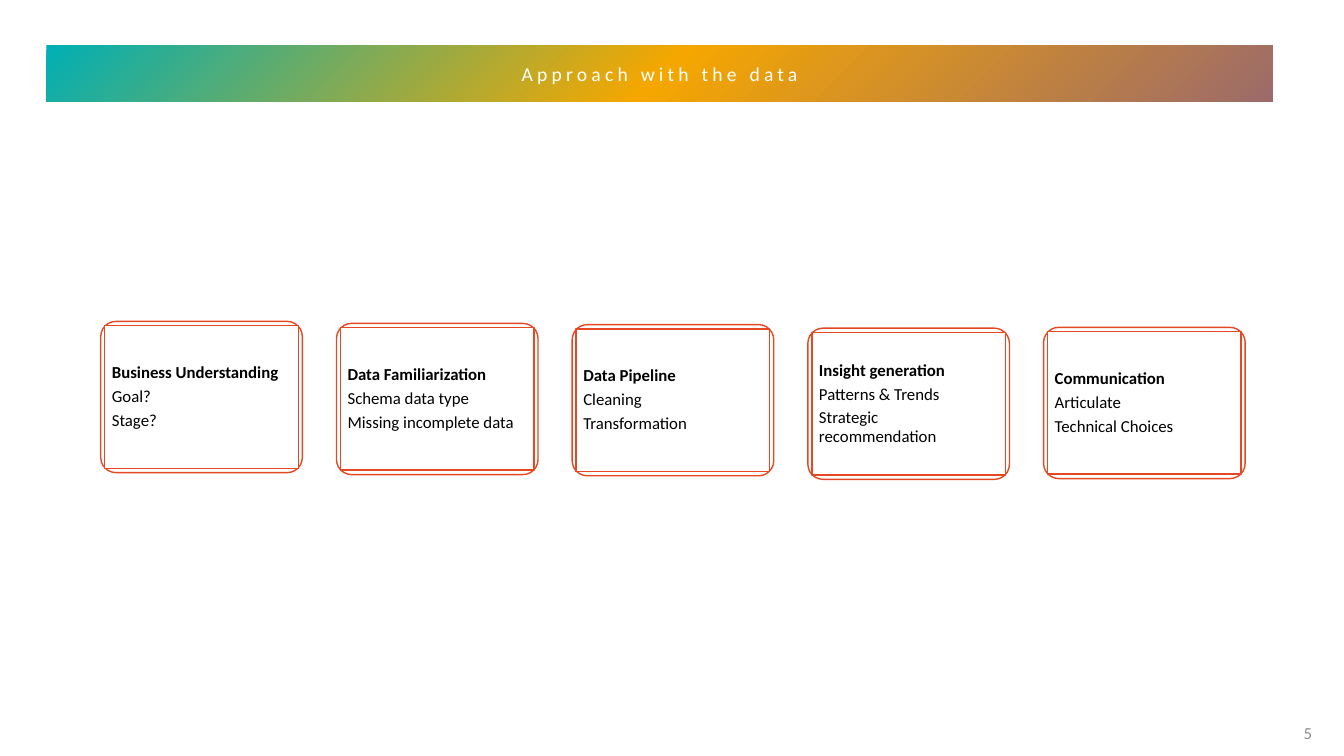
from lxml import etree
from pptx import Presentation, util as u
from pptx.dml.color import RGBColor
from pptx.enum import shapes, text
from pptx.oxml import ns

# Content
TITLE = "Approach with the data"
PAGE_NUMBER = "5"
STEPS = [  # card top in cm, heading, details
    (8.1, "Business Understanding", ["Goal?", "Stage?"]),
    (8.15, "Data Familiarization", ["Schema data type", "Missing incomplete data"]),
    (8.18, "Data Pipeline", ["Cleaning", "Transformation"]),
    (8.27, "Insight generation", ["Patterns & Trends", "Strategic recommendation"]),
    (8.25, "Communication", ["Articulate", "Technical Choices"]),
]

# Look
COLOURS = {"white": "FFFFFF", "black": "000000", "grey": "8C8C8C", "red": "E64823",
           "mauve": "9C6A6A", "amber": "F5A700", "teal": "00AFB5"}
BANNER_STOPS = [(0, "mauve"), (50, "amber"), (100, "teal")]

# Card grid in cm
FIRST_LEFT, PITCH = 2.54, 5.94
CARD_WIDTH, CARD_HEIGHT = 5.08, 3.81
INSET_X, INSET_Y = 0.1, 0.11
PADDING = 0.18


def colour(name):
    return RGBColor.from_string(COLOURS[name])


def place(shape, left, top, width, height):
    for side, value in zip(("left", "top", "width", "height"), (left, top, width, height)):
        setattr(shape, side, u.Cm(value))


def write(para, words, shade, size, bold=False):
    span = para.add_run()
    span.text = words
    for key, value in {"name": "Calibri", "size": u.Pt(size), "bold": bold}.items():
        setattr(span.font, key, value)
    span.font.color.rgb = colour(shade)
    return span


def set_frame(frame, **values):
    values = {"word_wrap": True, "auto_size": text.MSO_AUTO_SIZE.NONE,
              "vertical_anchor": text.MSO_ANCHOR.MIDDLE, **values}
    for key, value in values.items():
        setattr(frame, key, value)


def fill_radial(shape, stops):
    gradient = etree.SubElement(shape.element.spPr, ns.qn("a:gradFill"), rotWithShape="1")
    stop_list = etree.SubElement(gradient, ns.qn("a:gsLst"))
    for position, name in stops:
        stop = etree.SubElement(stop_list, ns.qn("a:gs"), pos=str(position * 1000))
        etree.SubElement(stop, ns.qn("a:srgbClr"), val=COLOURS[name])
    circle = etree.SubElement(gradient, ns.qn("a:path"), path="circle")
    etree.SubElement(circle, ns.qn("a:fillToRect"), l="100000", t="100000")


def add_outline(group, kind, *position):
    shape = group.shapes.add_shape(kind, *map(u.Cm, position))
    shape.shadow.inherit = False
    shape.fill.solid()
    shape.fill.fore_color.rgb = colour("white")
    shape.line.color.rgb = colour("red")
    shape.line.width = u.Pt(1)
    return shape


def add_card(page, left, top, heading, details):
    group = page.shapes.add_group_shape()
    border = add_outline(group, shapes.MSO_SHAPE.ROUNDED_RECTANGLE,
                         left, top, CARD_WIDTH, CARD_HEIGHT)
    border.adjustments[0] = 0.1
    box = add_outline(group, shapes.MSO_SHAPE.RECTANGLE, left + INSET_X, top + INSET_Y,
                      CARD_WIDTH - 2 * INSET_X, CARD_HEIGHT - 2 * INSET_Y)
    frame = box.text_frame
    set_frame(frame, **{f"margin_{side}": u.Cm(PADDING)
                        for side in ("left", "top", "right", "bottom")})
    for index, words in enumerate([heading, *details]):
        para = frame.add_paragraph() if index else frame.paragraphs[0]
        para.alignment = text.PP_ALIGN.LEFT
        para.line_spacing = 0.9
        para.space_after = u.Pt(4)
        write(para, words, "black", 12, bold=index == 0)


def main():
    deck = Presentation()
    deck.slide_width, deck.slide_height = u.Cm(33.87), u.Cm(19.05)
    page = deck.slides.add_slide(deck.slide_layouts[5])

    # Title banner
    banner = page.shapes.title
    place(banner, 1.17, 1.14, 30.91, 1.42)
    fill_radial(banner, BANNER_STOPS)
    set_frame(banner.text_frame)
    para = banner.text_frame.paragraphs[0]
    para.alignment = text.PP_ALIGN.CENTER
    span = write(para, TITLE, "white", 14)
    span.font._element.set("spc", "300")

    # Step cards
    for index, (top, heading, details) in enumerate(STEPS):
        add_card(page, FIRST_LEFT + index * PITCH, top, heading, details)

    # Page number
    number = page.shapes.add_textbox(0, 0, 0, 0)
    place(number, 32.08, 17.96, 1.24, 1.02)
    set_frame(number.text_frame)
    para = number.text_frame.paragraphs[0]
    para.alignment = text.PP_ALIGN.RIGHT
    write(para, PAGE_NUMBER, "grey", 12)

    deck.save("out.pptx")


if __name__ == "__main__":
    main()
